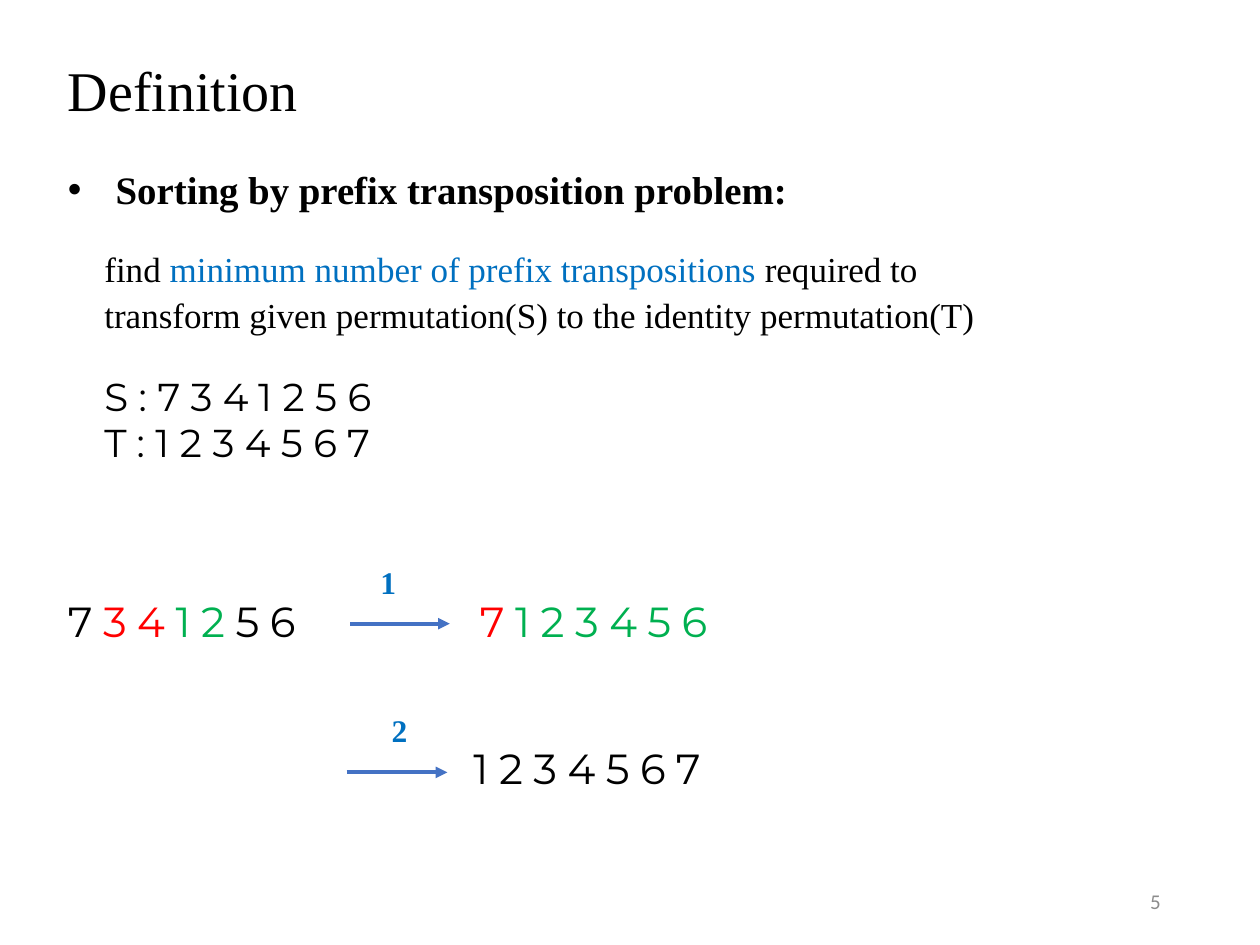
from lxml.etree import SubElement
from pptx import Presentation
from pptx.dml.color import RGBColor
from pptx.enum.shapes import MSO_CONNECTOR
from pptx.enum.text import MSO_ANCHOR, PP_ALIGN
from pptx.oxml.ns import qn
from pptx.util import Inches, Pt

SERIF, DIGITS = "Times New Roman", "Montserrat"
BLACK, RED, GREEN, BLUE = "000000", "FF0000", "00B050", "0070C0"

deck = Presentation()
deck.slide_width, deck.slide_height = Inches(10), Inches(7.5)
page = deck.slides.add_slide(deck.slide_layouts[6])

# Grid of 100 columns by 75 rows
CELL = deck.slide_width / 100
LEFT, INDENT = 4.4, 7.3
ROW_HEIGHT, DIGITS_WIDTH = 6.4, 23.4


def color(hex_string):
    return RGBColor.from_string(hex_string)


def add_text(column, row, width, height, lines, size, font=SERIF, bold=False,
             spacing=(None,), tracking=0, align=None, bullet=None, anchor=MSO_ANCHOR.MIDDLE):
    """Each line is a list of (text, colour) spans."""
    box = page.shapes.add_textbox(*(round(n * CELL) for n in (column, row, width, height)))
    frame = box.text_frame
    frame.word_wrap = True
    frame.vertical_anchor = anchor
    for number, spans in enumerate(lines):
        para = frame.paragraphs[0] if number == 0 else frame.add_paragraph()
        para.line_spacing = spacing[number % len(spacing)]
        para.alignment = align
        if bullet:
            properties = para._p.get_or_add_pPr()
            properties.set("marL", str(Inches(0.38)))
            properties.set("indent", str(-Inches(0.38)))
            SubElement(properties, qn("a:buFont"), typeface="Arial")
            SubElement(properties, qn("a:buChar"), char=bullet)
        para.font.size, para.font.name, para.font.bold = Pt(size), font, bold
        for text, hue in spans:
            span = para.add_run()
            span.text = text
            span.font.color.rgb = color(hue)
            if tracking:
                span._r.get_or_add_rPr().set("spc", str(tracking * 100))
    return box


# Page number
add_text(70.6, 69.5, 22.5, 4, [[("5", "8C8C8C")]], 12, "Calibri", align=PP_ALIGN.RIGHT)

# Title and problem statement
add_text(LEFT, 4.2, 86.2, ROW_HEIGHT, [[("Definition", BLACK)]], 32, spacing=(0.9,))
add_text(LEFT, 11.1, 81.3, ROW_HEIGHT, [[("Sorting by prefix transposition problem:", BLACK)]],
         22.2, bold=True, spacing=(1.4,), bullet="•")
add_text(INDENT, 17.5, 75.5, 9.5, [
    [("find ", BLACK), ("minimum number of prefix transpositions ", BLUE), ("required to", BLACK)],
    [("transform given permutation(S) to the identity permutation(T)", BLACK)],
], 20, spacing=(1.5, 1.1), anchor=MSO_ANCHOR.TOP)

# Given and identity permutations
add_text(INDENT, 27.8, 28.2, 10.9, [[("S:7341256", BLACK)], [("T:1234567", BLACK)]],
         22.2, DIGITS, tracking=6)

# Permutations at each stage
stages = [
    (LEFT, 46.3, [("7", BLACK), ("34", RED), ("12", GREEN), ("56", BLACK)]),
    (37.1, 46.3, [("7", RED), ("123456", GREEN)]),
    (36.6, 58, [("1234567", BLACK)]),
]
stage_boxes = [
    add_text(column, row, DIGITS_WIDTH, ROW_HEIGHT, [spans], 24, DIGITS,
             spacing=(0.9,), tracking=6)
    for column, row, spans in stages
]

# Numbered step arrows: label column and row, arrow column and row, source box
steps = [
    ("1", 29.2, 44, 27.7, 49.5, stage_boxes[0]),
    ("2", 30.1, 55.7, 27.5, 61.3, None),
]
for label, label_column, label_row, column, row, source in steps:
    arrow = page.shapes.add_connector(
        MSO_CONNECTOR.STRAIGHT,
        *(round(n * CELL) for n in (column, row, column + 8, row)))
    if source is not None:
        arrow.begin_connect(source, 3)
    arrow.line.color.rgb = color("4472C4")
    arrow.line.width = Pt(2.25)
    SubElement(arrow.line._get_or_add_ln(), qn("a:tailEnd"), type="triangle")
    SubElement(arrow._element.spPr, qn("a:effectLst"))
    add_text(label_column, label_row, 2.8, 4.8, [[(label, BLUE)]], 18, bold=True,
             spacing=(0.9,), tracking=6)

deck.save("out.pptx")
